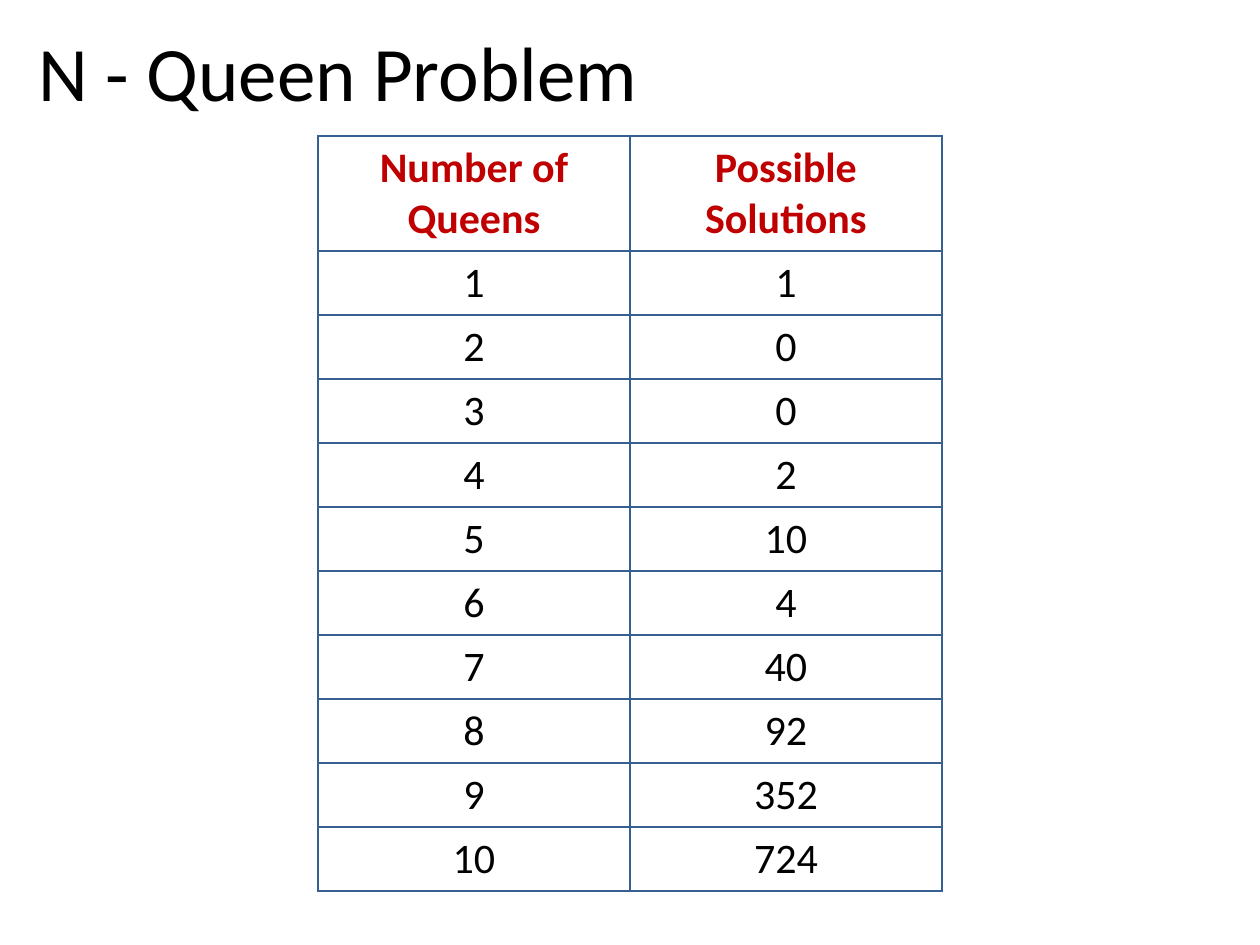
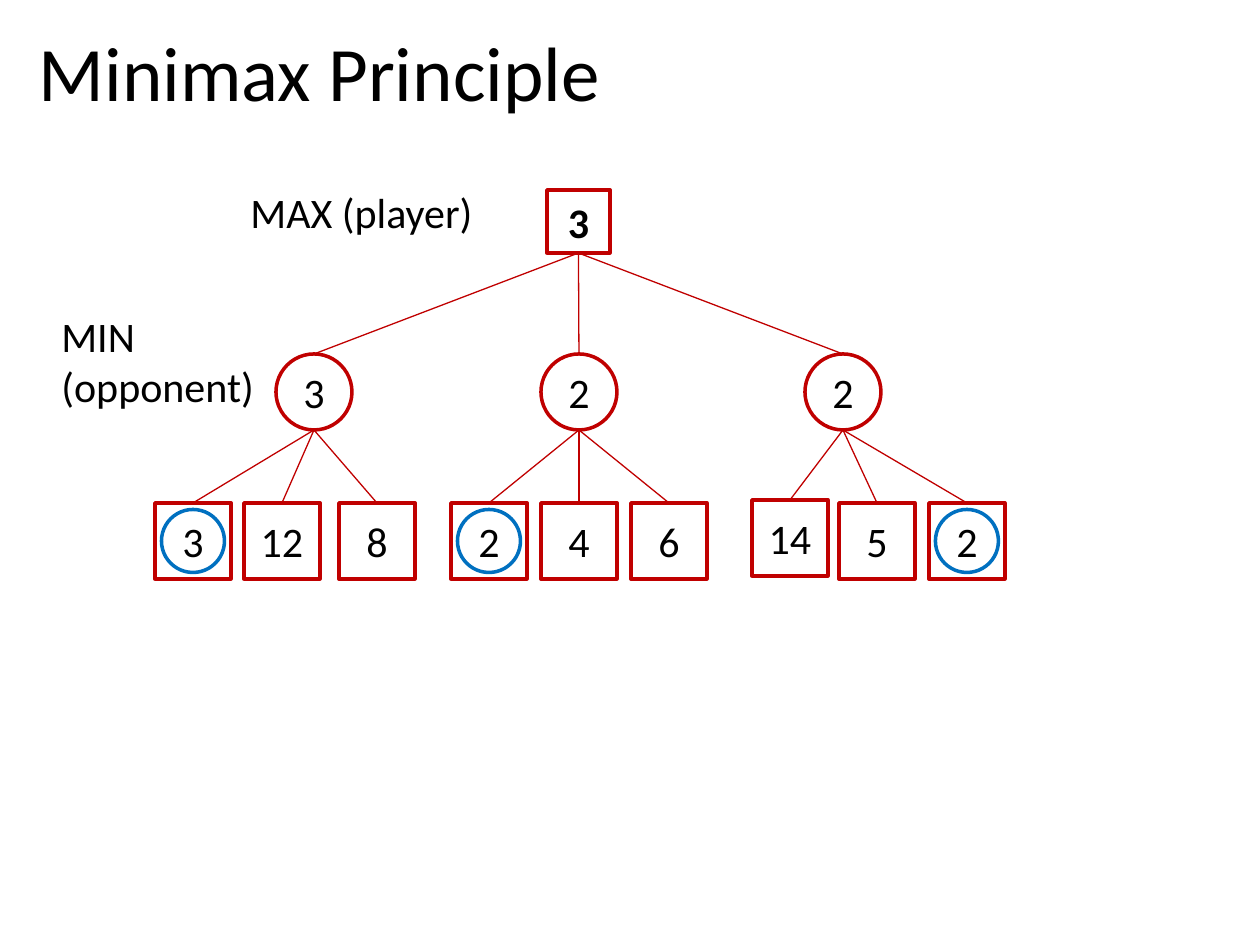
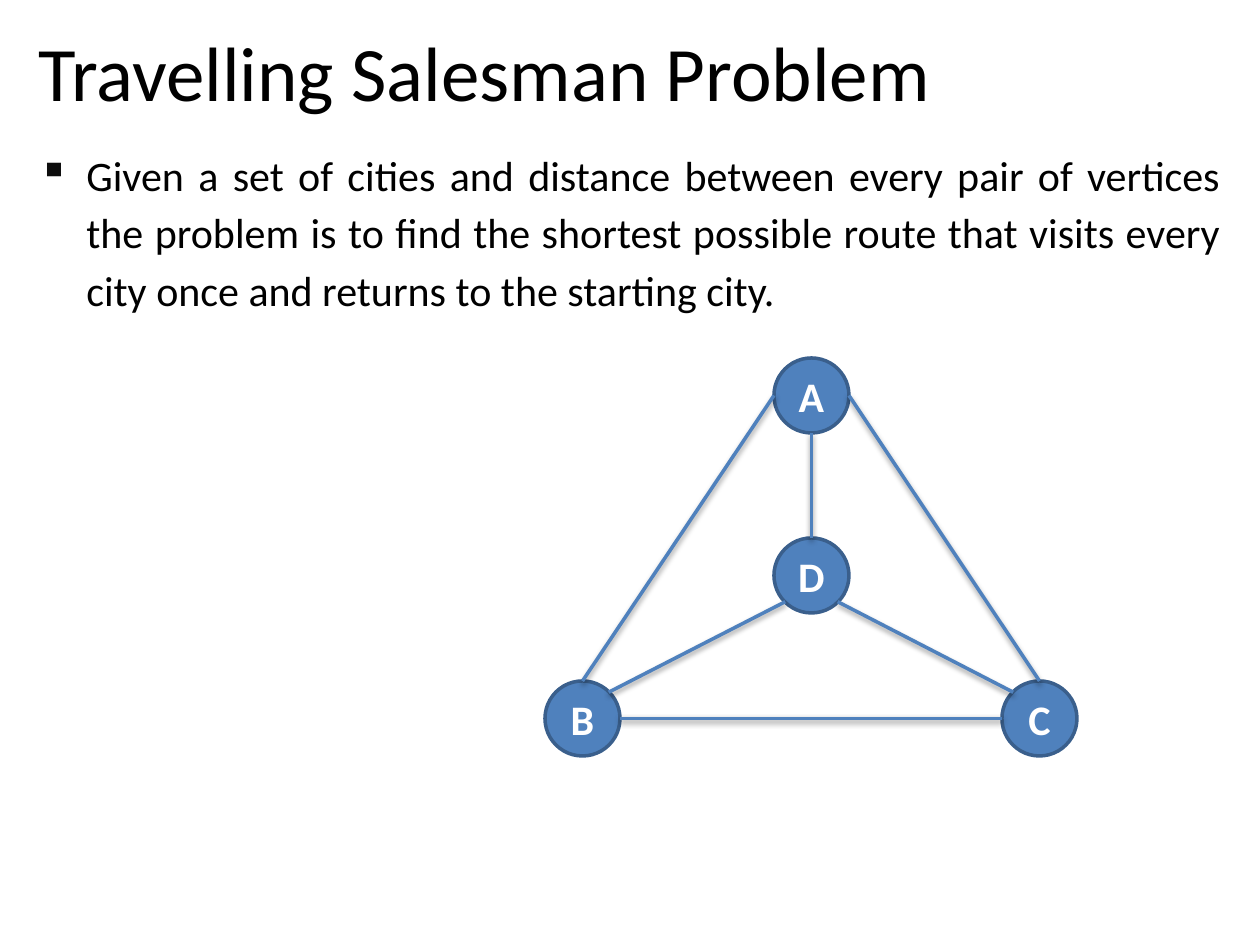
import dataclasses

import pptx
import pptx.dml.color
import pptx.enum.shapes
import pptx.enum.text
import pptx.oxml
import pptx.oxml.ns
import pptx.util
from lxml import etree

RECTANGLE = pptx.enum.shapes.MSO_SHAPE.RECTANGLE
OVAL = pptx.enum.shapes.MSO_SHAPE.OVAL
ALIGN = pptx.enum.text.PP_ALIGN
ANCHOR = pptx.enum.text.MSO_ANCHOR


@dataclasses.dataclass(frozen=True)
class Theme:
    font: str = "Calibri"
    title_size: int = 44
    text_size: int = 24
    ink: str = "000000"
    light: str = "FFFFFF"
    bullet: str = "0D0D0D"
    red: str = "C00000"
    choice: str = "0070C0"
    grid: str = "376092"
    city: str = "4F81BD"
    city_edge: str = "3A5F8C"
    outline: float = 2
    thin: float = 0.75


THEME = Theme()
PX_PER_INCH = 126
SLIDE_SIZE = (1260, 945)
TITLE_BOX = (26, 15, 1207, 111)

QUEENS_TITLE = "N - Queen Problem"
QUEENS_HEADER = ("Number of Queens", "Possible Solutions")
SOLUTION_COUNTS = (1, 0, 0, 2, 10, 4, 40, 92, 352, 724)
QUEENS_ORIGIN = (318, 136)
QUEENS_COLUMN, HEADER_HEIGHT, ROW_HEIGHT = 312, 115, 64

MINIMAX_TITLE = "Minimax Principle"
PLAYERS = (
    ("MAX (player)", (238, 180, 268, 63)),
    ("MIN\v(opponent)", (49, 304, 229, 115)),
)
ROOT_VALUE, ROOT_AT, ROOT_SIZE = 3, (547, 190), 63
NODE_SIZE, CHOICE_SIZE = 76, 63
MIN_TOP = 354
MIN_NODES = (
    {"value": 3, "left": 276, "chosen": 0,
     "leaves": ((3, 155, 503), (12, 244, 503), (8, 339, 503))},
    {"value": 2, "left": 541, "chosen": 0,
     "leaves": ((2, 451, 503), (4, 541, 503), (6, 631, 503))},
    {"value": 2, "left": 805, "chosen": 2,
     "leaves": ((14, 752, 500), (5, 839, 503), (2, 929, 503))},
)

SALESMAN_TITLE = "Travelling Salesman Problem"
SALESMAN_TEXT = (
    "Given a set of cities and distance between every pair of vertices the problem "
    "is to find the shortest possible route that visits every city once and returns "
    "to the starting city."
)
SALESMAN_BOX = (26, 136, 1207, 735)
CITY_SIZE = 75
CITIES = {"A": (774, 358), "B": (545, 681), "C": (1002, 681), "D": (774, 538)}
ROADS = (
    ("A", "left", "B", "top"),
    ("B", "right", "C", "left"),
    ("B", "top right", "D", "bottom left"),
    ("C", "top left", "D", "bottom right"),
    ("C", "top", "A", "right"),
    ("D", "top", "A", "bottom"),
)

NEAR, FAR = 0.15, 0.85
SITES = {
    "top": (0.5, 0), "left": (0, 0.5), "bottom": (0.5, 1), "right": (1, 0.5),
    "top left": (NEAR, NEAR), "top right": (FAR, NEAR),
    "bottom left": (NEAR, FAR), "bottom right": (FAR, FAR),
}
SIDES = ("top", "left", "bottom", "right")
ROAD_SHADOW = {"blurRad": "40000", "dist": "20000", "dir": "5400000", "rotWithShape": "0"}


def px(length):
    return pptx.util.Emu(round(length * 914400 / PX_PER_INCH))


def place(box):
    return [px(length) for length in box]


def rgb(color):
    return pptx.dml.color.RGBColor.from_string(color)


def child(parent, tag, **attributes):
    return etree.SubElement(parent, pptx.oxml.ns.qn(tag), attributes)


def style(paragraph, size=THEME.text_size, color=THEME.ink, bold=False, align=ALIGN.LEFT):
    paragraph.alignment = align
    paragraph.font.name = THEME.font
    paragraph.font.size = pptx.util.Pt(size)
    paragraph.font.bold = bold
    paragraph.font.color.rgb = rgb(color)


def add_titled_slide(deck, heading):
    slide = deck.slides.add_slide(deck.slide_layouts[5])
    title = slide.shapes.title
    title.left, title.top, title.width, title.height = place(TITLE_BOX)
    frame = title.text_frame
    frame.text = heading
    frame.vertical_anchor = ANCHOR.MIDDLE
    frame.auto_size = pptx.enum.text.MSO_AUTO_SIZE.NONE
    style(frame.paragraphs[0], THEME.title_size)
    return slide


def add_text(slide, text, box):
    frame = slide.shapes.add_textbox(*place(box)).text_frame
    frame.word_wrap = True
    frame.text = text
    return frame.paragraphs[0]


def add_node(slide, kind, at, size, line, value="", fill=None, color=THEME.ink, bold=False):
    node = slide.shapes.add_shape(kind, *place((*at, size, size)))
    node.shadow.inherit = False
    if fill:
        node.fill.solid()
        node.fill.fore_color.rgb = rgb(fill)
    else:
        node.fill.background()
    node.line.color.rgb = rgb(line)
    node.line.width = pptx.util.Pt(THEME.outline)
    if value != "":
        frame = node.text_frame
        frame.margin_left = frame.margin_right = frame.margin_top = frame.margin_bottom = 0
        frame.vertical_anchor = ANCHOR.MIDDLE
        frame.text = str(value)
        style(frame.paragraphs[0], color=color, bold=bold, align=ALIGN.CENTER)
    return node


def site_point(node, site):
    across, down = SITES[site]
    return round(node.left + across * node.width), round(node.top + down * node.height)


def link(slide, start, start_site, end, end_site, color, width):
    line = slide.shapes.add_connector(
        pptx.enum.shapes.MSO_CONNECTOR.STRAIGHT,
        *site_point(start, start_site), *site_point(end, end_site))
    for node, site, connect in ((start, start_site, line.begin_connect),
                                (end, end_site, line.end_connect)):
        if node.auto_shape_type == RECTANGLE:
            connect(node, SIDES.index(site))
    line.line.color.rgb = rgb(color)
    line.line.width = pptx.util.Pt(width)
    return child(line._element.spPr, "a:effectLst")


def fill_cell(cell, text, color, bold):
    cell.text = str(text)
    style(cell.text_frame.paragraphs[0], color=color, bold=bold, align=ALIGN.CENTER)
    properties = cell._tc.get_or_add_tcPr()
    for edge in ("a:lnL", "a:lnR", "a:lnT", "a:lnB"):
        border = child(properties, edge, w=str(pptx.util.Pt(1)))
        child(child(border, "a:solidFill"), "a:srgbClr", val=THEME.grid)
    cell.fill.background()


def build_queens(deck):
    slide = add_titled_slide(deck, QUEENS_TITLE)
    rows = [QUEENS_HEADER, *enumerate(SOLUTION_COUNTS, start=1)]
    heights = [HEADER_HEIGHT] + [ROW_HEIGHT] * len(SOLUTION_COUNTS)
    box = (*QUEENS_ORIGIN, QUEENS_COLUMN * len(QUEENS_HEADER), sum(heights))
    solutions = slide.shapes.add_table(len(rows), len(QUEENS_HEADER), *place(box)).table
    solutions.horz_banding = False
    for row, (values, height) in enumerate(zip(rows, heights)):
        solutions.rows[row].height = px(height)
        header = row == 0
        for column, value in enumerate(values):
            fill_cell(solutions.cell(row, column), value,
                      THEME.red if header else THEME.ink, header)


def build_minimax(deck):
    slide = add_titled_slide(deck, MINIMAX_TITLE)
    for player, box in PLAYERS:
        style(add_text(slide, player, box))
    root = add_node(slide, RECTANGLE, ROOT_AT, ROOT_SIZE, THEME.red, ROOT_VALUE, bold=True)
    inset = (NODE_SIZE - CHOICE_SIZE) / 2
    for branch in MIN_NODES:
        reply = add_node(slide, OVAL, (branch["left"], MIN_TOP), NODE_SIZE,
                         THEME.red, branch["value"])
        link(slide, root, "bottom", reply, "top", THEME.red, THEME.thin)
        for index, (value, left, top) in enumerate(branch["leaves"]):
            leaf = add_node(slide, RECTANGLE, (left, top), NODE_SIZE, THEME.red, value)
            link(slide, reply, "bottom", leaf, "top", THEME.red, THEME.thin)
            if index == branch["chosen"]:
                add_node(slide, OVAL, (left + inset, top + inset), CHOICE_SIZE, THEME.choice)


def build_salesman(deck):
    slide = add_titled_slide(deck, SALESMAN_TITLE)
    statement = add_text(slide, SALESMAN_TEXT, SALESMAN_BOX)
    properties = statement._p.get_or_add_pPr()
    properties.set("marL", str(px(48)))
    properties.set("indent", str(px(-48)))
    child(child(properties, "a:buClr"), "a:srgbClr", val=THEME.bullet)
    child(properties, "a:buChar", char="▪")
    style(statement, align=ALIGN.JUSTIFY)
    statement.line_spacing = 1.14
    cities = {
        name: add_node(slide, OVAL, at, CITY_SIZE, THEME.city_edge, name,
                       THEME.city, THEME.light, True)
        for name, at in CITIES.items()
    }
    for start, start_site, end, end_site in ROADS:
        effects = link(slide, cities[start], start_site, cities[end], end_site,
                       THEME.city, THEME.outline)
        shade = child(child(effects, "a:outerShdw", **ROAD_SHADOW), "a:srgbClr", val=THEME.ink)
        child(shade, "a:alpha", val="38000")


def main():
    deck = pptx.Presentation()
    deck.slide_width, deck.slide_height = place(SLIDE_SIZE)
    build_queens(deck)
    build_minimax(deck)
    build_salesman(deck)
    deck.save("out.pptx")


if __name__ == "__main__":
    main()
